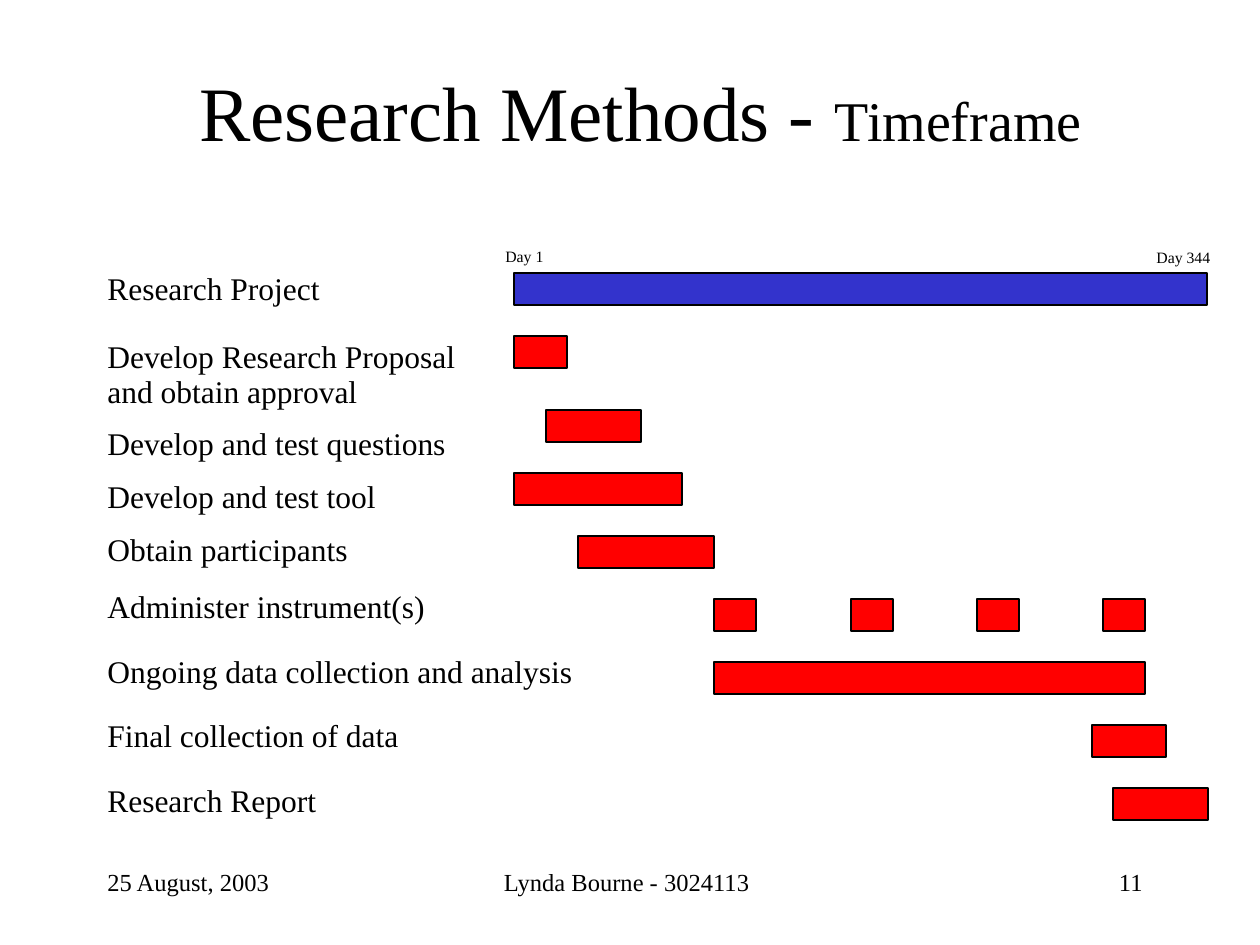
from pptx import Presentation
from pptx.dml.color import RGBColor
from pptx.enum.shapes import MSO_SHAPE
from pptx.enum.text import MSO_ANCHOR, PP_ALIGN
from pptx.util import Pt

PX = 914400 / 126
BLACK = RGBColor(0x00, 0x00, 0x00)
BLUE = RGBColor(0x33, 0x33, 0xCC)
RED = RGBColor(0xFF, 0x00, 0x00)


def px(n):
    return round(n * PX)


def add_text(s, x, y, w, h, text, size, align=PP_ALIGN.LEFT):
    tf = s.shapes.add_textbox(px(x), px(y), px(w), px(h)).text_frame
    tf.word_wrap = True
    for i, line in enumerate(text.split("\n")):
        p = tf.paragraphs[0] if i == 0 else tf.add_paragraph()
        p.text = line
        p.alignment = align
        p.font.size = Pt(size)
        p.font.name = "Times New Roman"
        p.font.color.rgb = BLACK
    return tf


prs = Presentation()
prs.slide_width, prs.slide_height = px(1260), px(945)
s = prs.slides.add_slide(prs.slide_layouts[6])

# Footer
add_text(s, 95, 861, 262, 63, "25 August, 2003", 14)
tf = add_text(s, 431, 861, 441, 63, "Lynda Bourne - 3024113", 14)
tf.margin_left = px(73)
add_text(s, 903, 861, 252, 63, "11", 14, PP_ALIGN.RIGHT)

# Title
tf = add_text(s, 105, 32, 1071, 158, "Research Methods - ", 44, PP_ALIGN.CENTER)
tf.vertical_anchor = MSO_ANCHOR.MIDDLE
r = tf.paragraphs[0].add_run()
r.text = "Timeframe"
r.font.size = Pt(32)

# Task labels: text, line spacing, space before in points
tasks = [
    ("Research Project", 0.7, 4.5),
    ("Develop Research Proposal", 0.7, 24),
    ("and obtain approval", 0.7, 4.5),
    ("Develop and test questions", 1.2, 4.5),
    ("Develop and test tool", 1.2, 4.5),
    ("Obtain participants", 1.2, 4.5),
    ("Administer instrument(s)", 1.3, 4.5),
    ("Ongoing data collection and analysis", 1.5, 4.5),
    ("Final collection of data", 1.5, 4.5),
    ("Research Report", 1.5, 4.5),
]
tf = add_text(s, 95, 273, 1071, 567, "\n".join(t[0] for t in tasks), 18)
for p, (_, spacing, before) in zip(tf.paragraphs, tasks):
    p.line_spacing = spacing
    p.space_before = Pt(before)

# Gantt bars: row top, then (left, width) of each bar in the row
ROW, FIRST = 63, 410
rows = [
    (273, [(514, 693)]),
    (336, [(514, 53)]),
    (FIRST, [(546, 95)]),
    (FIRST + ROW, [(514, 168)]),
    (FIRST + 2 * ROW, [(578, 136)]),
    (FIRST + 3 * ROW, [(714, 42), (851, 42), (977, 42), (1103, 42)]),
    (FIRST + 4 * ROW, [(714, 431)]),
    (FIRST + 5 * ROW, [(1092, 74)]),
    (FIRST + 6 * ROW, [(1113, 95)]),
]
for i, (top, bars) in enumerate(rows):
    for left, width in bars:
        sp = s.shapes.add_shape(MSO_SHAPE.RECTANGLE, px(left), px(top), px(width), px(32))
        sp.shadow.inherit = False
        sp.fill.solid()
        sp.fill.fore_color.rgb = BLUE if i == 0 else RED
        sp.line.color.rgb = BLACK
        sp.line.width = Pt(0.75)

# Day markers
for x, y, w, day in [(493, 241, 74, "Day 1"), (1144, 242, 84, "Day 344")]:
    tf = add_text(s, x, y, w, 32, day, 9)
    tf.paragraphs[0].space_before = Pt(5.6)

prs.save("out.pptx")
